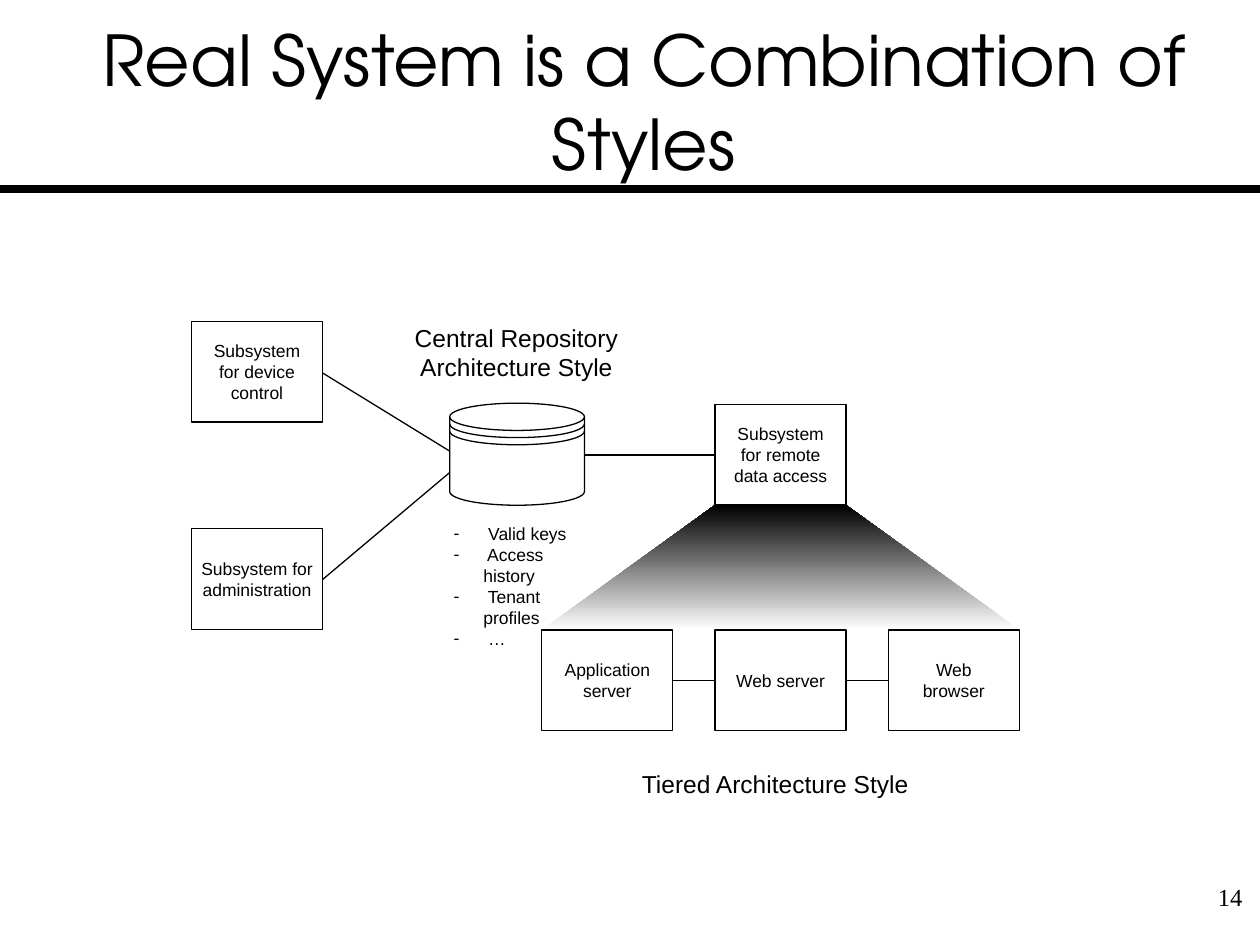
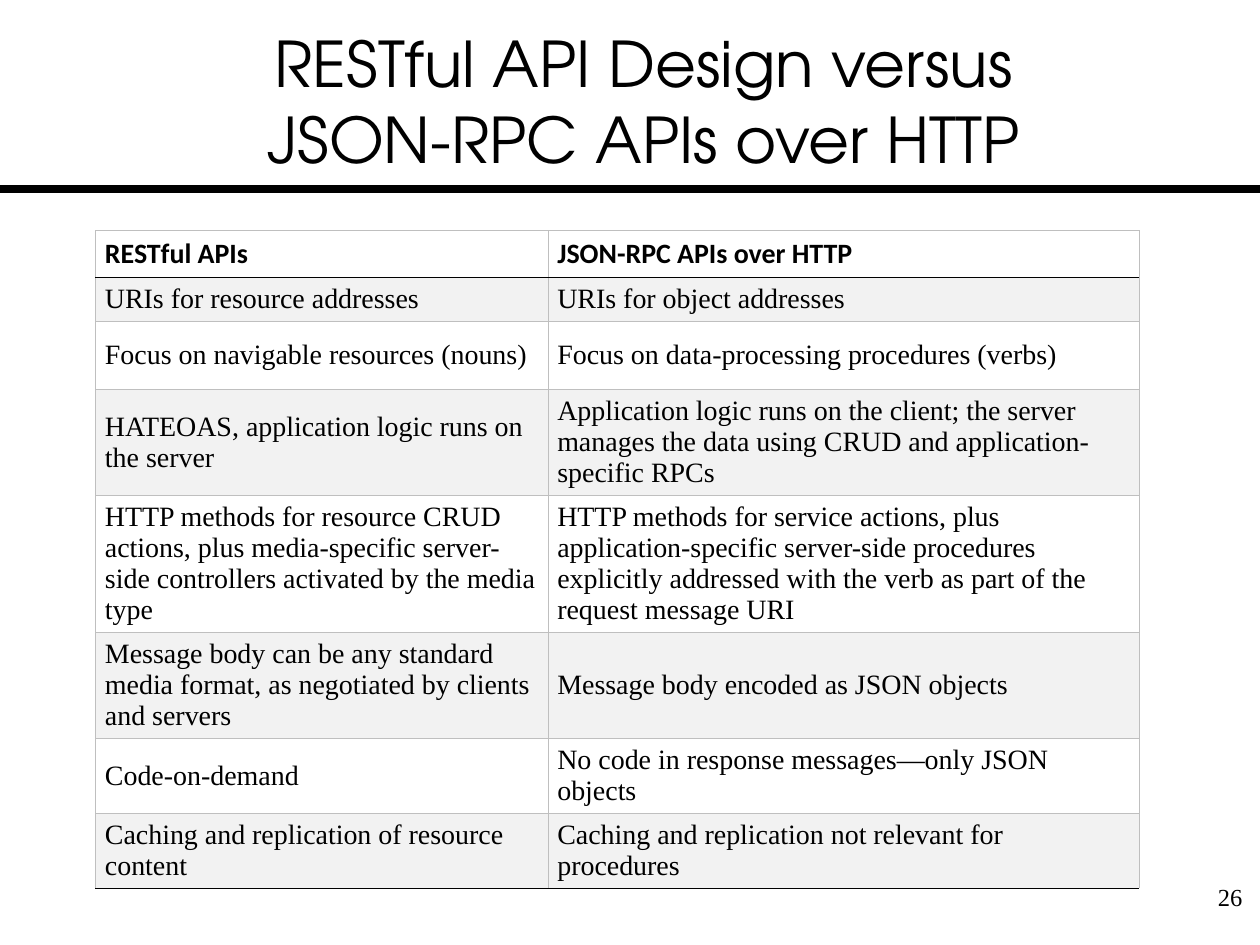
from lxml import etree
from pptx import Presentation
from pptx.dml.color import RGBColor
from pptx.enum import shapes, text
from pptx.oxml import ns
from pptx.util import Pt

BLACK, WHITE, GREY, BAND = "000000", "FFFFFF", "BFBFBF", "F2F2F2"
TITLE_FONT, LABEL_FONT, TEXT_FONT, HEAD_FONT = (
    "TeX Gyre Adventor", "Arial", "Times New Roman", "Calibri")
THIN = 0.75
LEFT, CENTER, RIGHT = text.PP_ALIGN.LEFT, text.PP_ALIGN.CENTER, text.PP_ALIGN.RIGHT
TOP, MIDDLE, BOTTOM = (text.MSO_ANCHOR.TOP, text.MSO_ANCHOR.MIDDLE,
                       text.MSO_ANCHOR.BOTTOM)
TITLE_ONLY, TITLE_AND_BODY = 5, 1

BOX_W, BOX_H = 74.9, 57.6
TIER_LEFT, TIER_TOP, TIER_PITCH = 309.6, 360, 99
TIERS = ["Application server", "Web server", "Web browser"]
REMOTE_LEFT, REMOTE_TOP = TIER_LEFT + TIER_PITCH, 231
STORE_LEFT, STORE_TOP, STORE_W, STORE_H = 257, 230.4, 77, 58.3
STORE_CONTENTS = [" Valid keys", " Access history", " Tenant profiles", " …"]

COLUMN_WIDTHS = [258.5, 337.7]
LINE_HEIGHT = 19.44
# Each row: lines of text it takes, left cell, right cell
COMPARISON = [
    (1, "RESTful APIs", "JSON-RPC APIs over HTTP"),
    (1, "URIs for resource addresses", "URIs for object addresses"),
    (2, "Focus on navigable resources (nouns)",
     "Focus on data-processing procedures (verbs)"),
    (3, "HATEOAS, application logic runs on the server",
     "Application logic runs on the client; the server manages the data "
     "using CRUD and application-specific RPCs"),
    (4, "HTTP methods for resource CRUD actions, plus media-specific "
     "server-side controllers activated by the media type",
     "HTTP methods for service actions, plus application-specific server-side "
     "procedures explicitly addressed with the verb as part of the request "
     "message URI"),
    (3, "Message body can be any standard media format, as negotiated by "
     "clients and servers", "Message body encoded as JSON objects"),
    (2, "Code-on-demand", "No code in response messages—only JSON objects"),
    (2, "Caching and replication of resource content",
     "Caching and replication not relevant for procedures"),
]


def color(value):
    return RGBColor.from_string(value)


def points(*values):
    return [Pt(value) for value in values]


class Deck:
    def __init__(self):
        self.deck = Presentation()
        self.deck.slide_width, self.deck.slide_height = points(720, 540)
        self.page = None

    def add_page(self, title, number, title_size, layout=TITLE_ONLY):
        self.page = self.deck.slides.add_slide(self.deck.slide_layouts[layout])
        self.line(0, 108, 720, 108, 4.5)
        box = self.page.shapes.title
        self.place(box, 30.2, 12.2, 675.4, 90)
        self.fill_frame(box.text_frame, [title], title_size, TITLE_FONT, CENTER,
                        MIDDLE, (0, 3.6))
        self.label(678.2, 500.4, 38.9, 36, [str(number)], 14, TEXT_FONT, RIGHT,
                   TOP, (7.2, 3.6))

    def place(self, box, *bounds):
        box.left, box.top, box.width, box.height = points(*bounds)

    def fill_frame(self, frame, paragraphs, size, font, align=LEFT, anchor=TOP,
                   insets=(0, 0)):
        """Put paragraphs in a text frame; insets are (sides, top and bottom)."""
        frame.word_wrap = True
        frame.auto_size = text.MSO_AUTO_SIZE.NONE
        frame.vertical_anchor = anchor
        frame.margin_left = frame.margin_right = Pt(insets[0])
        frame.margin_top = frame.margin_bottom = Pt(insets[1])
        for index, words in enumerate(paragraphs):
            para = frame.add_paragraph() if index else frame.paragraphs[0]
            self.fill_paragraph(para, words, size, font, align)

    def fill_paragraph(self, para, words, size, font, align=LEFT, bold=False):
        para.alignment = align
        para.space_before = Pt(0)
        for index, part in enumerate(words.split("\n")):
            if index:
                para.add_line_break()
            span = para.add_run()
            span.text = part
            span.font.size, span.font.name = Pt(size), font
            span.font.bold = bold
            span.font.color.rgb = color(BLACK)

    def label(self, left, top, width, height, paragraphs, *style):
        box = self.page.shapes.add_textbox(*points(left, top, width, height))
        self.fill_frame(box.text_frame, paragraphs, *style)

    def dash_list(self, left, top, width, height, items, size, hang):
        box = self.page.placeholders[1]
        self.place(box, left, top, width, height)
        self.fill_frame(box.text_frame, items, size, LABEL_FONT)
        for para in box.text_frame.paragraphs:
            props = para._p.get_or_add_pPr()
            props.set("marL", str(Pt(hang)))
            props.set("indent", str(-Pt(hang)))
            etree.SubElement(props, ns.qn("a:buChar")).set("char", "-")

    def line(self, x1, y1, x2, y2, width=THIN):
        line = self.page.shapes.add_connector(
            shapes.MSO_CONNECTOR.STRAIGHT, *points(x1, y1, x2, y2))
        line.line.color.rgb = color(BLACK)
        line.line.width = Pt(width)
        etree.SubElement(line.element.spPr, ns.qn("a:effectLst"))

    def shape(self, kind, left, top, width, height, fill=WHITE):
        shape = self.page.shapes.add_shape(kind, *points(left, top, width, height))
        shape.shadow.inherit = False
        if fill:
            shape.fill.solid()
            shape.fill.fore_color.rgb = color(fill)
        else:
            shape.fill.background()
        shape.line.color.rgb = color(BLACK)
        shape.line.width = Pt(THIN)
        return shape

    def component(self, left, top, name, inset=9.7):
        box = self.shape(shapes.MSO_SHAPE.RECTANGLE, left, top, BOX_W, BOX_H)
        self.fill_frame(box.text_frame, [name], 10, LABEL_FONT, CENTER, MIDDLE,
                        (inset, 0))

    def repository(self, left, top, width, height):
        """Cylinder with two more rims below its lid."""
        can = self.shape(shapes.MSO_SHAPE.CAN, left, top, width, height)
        can.adjustments[0] = 0.267
        lid = 0.267 * height
        for rim in (1, 2):
            arc = self.shape(shapes.MSO_SHAPE.ARC, left, top + rim * 4.1, width,
                             lid, None)
            arc.adjustments[0], arc.adjustments[1] = 0, 108  # lower half turn

    def fading_outline(self, corners):
        """Closed outline that fades from black at the top to white."""
        corners = [points(*corner) for corner in corners]
        builder = self.page.shapes.build_freeform(*corners[0])
        builder.add_line_segments(corners[1:], close=True)
        shape = builder.convert_to_shape()
        shape.shadow.inherit = False
        shape.line.fill.background()
        shape.fill.gradient()
        shape.fill.gradient_angle = 90
        for stop, shade in zip(shape.fill.gradient_stops, (WHITE, BLACK)):
            stop.color.rgb = color(shade)

    def border(self, cell, side, shade, width):
        edge = etree.SubElement(cell._tc.get_or_add_tcPr(), ns.qn("a:ln" + side))
        edge.set("w", str(Pt(width)))
        fill = etree.SubElement(edge, ns.qn("a:solidFill"))
        etree.SubElement(fill, ns.qn("a:srgbClr")).set("val", shade)

    def table(self, left, top, widths, rows):
        heights = [lines * LINE_HEIGHT for lines, *_ in rows]
        table = self.page.shapes.add_table(
            len(rows), len(widths),
            *points(left, top, sum(widths), sum(heights))).table
        table.first_row = table.horz_banding = False
        for column, width in zip(table.columns, widths):
            column.width = Pt(width)
        for index, (height, (_, *words)) in enumerate(zip(heights, rows)):
            table.rows[index].height = Pt(height)
            for column, content in enumerate(words):
                self.table_cell(table.cell(index, column), content, index,
                                index == len(rows) - 1)

    def table_cell(self, cell, content, row, is_last):
        head = row == 0
        cell.vertical_anchor = MIDDLE
        cell.margin_left = cell.margin_right = Pt(5.4)
        cell.margin_top = cell.margin_bottom = Pt(3.6)
        para = cell.text_frame.paragraphs[0]
        self.fill_paragraph(para, content, 16, HEAD_FONT if head else TEXT_FONT,
                            bold=head)
        para.space_before = para.space_after = Pt(2)
        head_rule, plain = (BLACK, THIN), (GREY, 0.45)
        self.border(cell, "L", *plain)
        self.border(cell, "R", *plain)
        self.border(cell, "T", *(head_rule if row == 1 else plain))
        self.border(cell, "B", *(head_rule if head
                                 else (BLACK, 0.45) if is_last else plain))
        if row % 2:
            cell.fill.solid()
            cell.fill.fore_color.rgb = color(BAND)
        else:
            cell.fill.background()


def add_styles_page(deck):
    deck.add_page("Real System is a Combination of Styles", 14, 40, TITLE_AND_BODY)
    tier_lefts = [TIER_LEFT + i * TIER_PITCH for i in range(len(TIERS))]
    remote_bottom = REMOTE_TOP + BOX_H
    deck.fading_outline([
        (TIER_LEFT, TIER_TOP), (REMOTE_LEFT, remote_bottom),
        (REMOTE_LEFT + BOX_W, remote_bottom), (tier_lefts[-1] + BOX_W, TIER_TOP)])

    tier_middle = TIER_TOP + BOX_H / 2
    for left, following in zip(tier_lefts, tier_lefts[1:]):
        deck.line(left + BOX_W, tier_middle, following, tier_middle)
    deck.line(STORE_LEFT + STORE_W, 260, REMOTE_LEFT, 260)
    deck.line(184.3, 213.1, STORE_LEFT, 257.8)
    deck.line(184.3, 331.2, STORE_LEFT, 270)

    deck.repository(STORE_LEFT, STORE_TOP, STORE_W, STORE_H)
    deck.component(109.4, 183.6, "Subsystem for device control", 12.5)
    deck.component(109.4, 302, "Subsystem for administration", 5)
    deck.component(REMOTE_LEFT, REMOTE_TOP, "Subsystem for remote data access")
    for left, name in zip(tier_lefts, TIERS):
        deck.component(left, TIER_TOP, name)

    deck.dash_list(259.2, 298.8, 72, 72, STORE_CONTENTS, 10, 17)
    deck.label(235.4, 184.3, 119.5, 33.8,
               ["Central Repository", "Architecture Style"],
               14, LABEL_FONT, CENTER, BOTTOM)
    deck.label(363, 439.2, 160, 16.6, ["Tiered Architecture Style"],
               14, LABEL_FONT, CENTER)


def add_comparison_page(deck):
    deck.add_page("RESTful API Design versus\nJSON-RPC APIs over HTTP", 26, 36)
    deck.table(54.6, 131.8, COLUMN_WIDTHS, COMPARISON)


def main():
    deck = Deck()
    add_styles_page(deck)
    add_comparison_page(deck)
    deck.deck.save("out.pptx")


if __name__ == "__main__":
    main()
